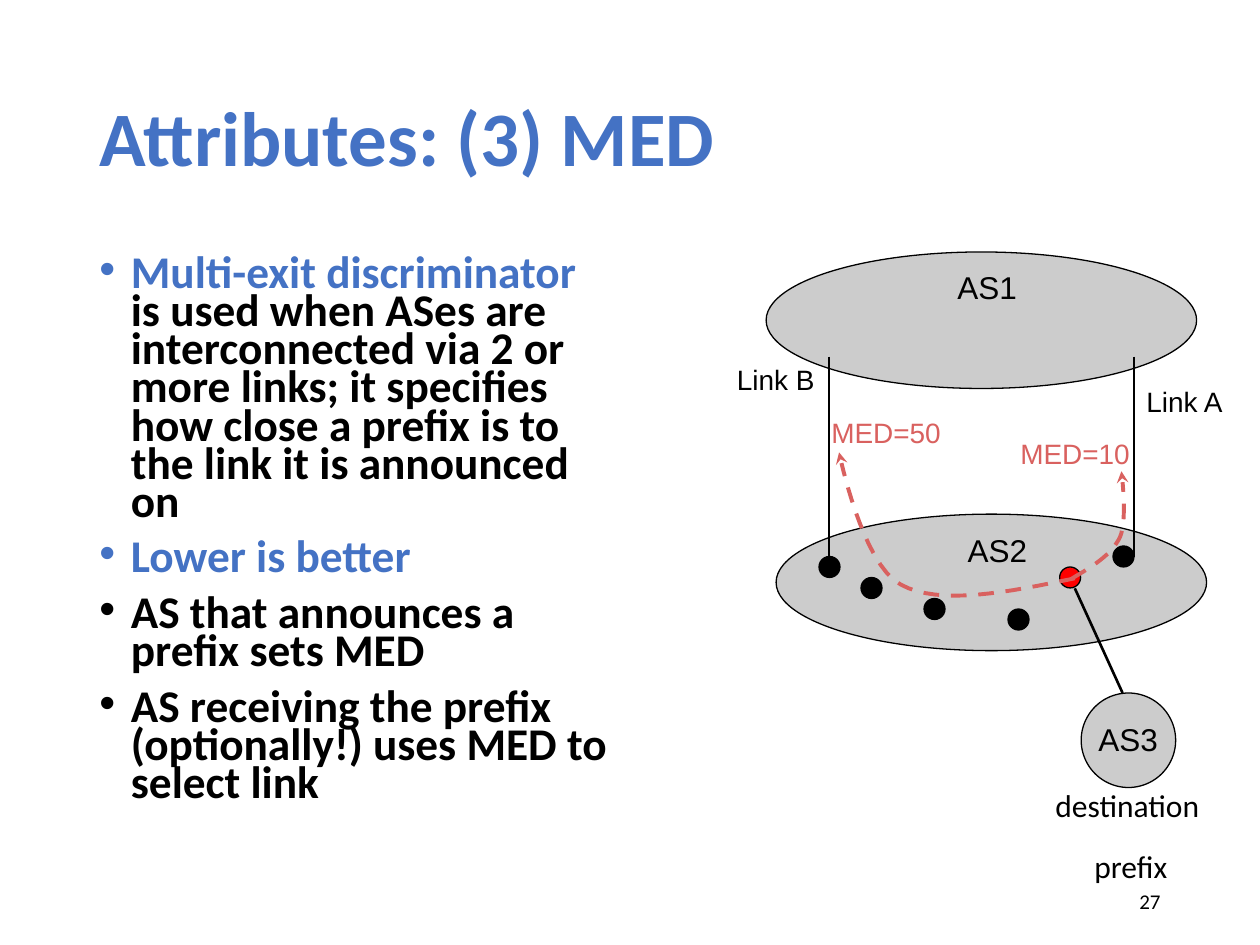
"""Build the slide on the MED attribute of routes between autonomous systems."""
from dataclasses import dataclass
from typing import NamedTuple

from lxml.etree import SubElement
from pptx import Presentation
from pptx.dml.color import RGBColor
from pptx.enum.dml import MSO_LINE
from pptx.enum.shapes import MSO_CONNECTOR, MSO_SHAPE
from pptx.enum.text import MSO_ANCHOR as ANCHOR, MSO_AUTO_SIZE as AUTO, PP_ALIGN as ALIGN
from pptx.oxml.ns import qn
from pptx.util import Pt


@dataclass(frozen=True)
class Theme:
    accent: str = "4472C4"
    ink: str = "000000"
    cloud: str = "CCCCCC"
    origin: str = "FF0000"
    route: str = "D9615F"
    heading: str = "Calibri"
    diagram: str = "Arial"
    title_size: float = 44
    body_size: float = 25.9
    name_size: float = 18
    label_size: float = 16
    number_size: float = 12
    outline: float = 0.75
    link: float = 1.5
    curve: float = 2.25


T = Theme()


class Point(NamedTuple):
    x: float
    y: float


class Box(NamedTuple):
    x: float
    y: float
    w: float
    h: float


class Run(NamedTuple):
    text: str
    color: str = T.ink


class Para(NamedTuple):
    runs: list[Run]
    fmt: dict = {}
    bullet: bool = False


class Text(NamedTuple):
    box: Box
    paras: list[Para]
    font: dict
    frame: dict


class Oval(NamedTuple):
    box: Box
    fill: str


class Link(NamedTuple):
    start: Point
    end: Point


class Bezier(NamedTuple):
    a: Point
    b: Point
    c: Point
    d: Point

    def at(self, t: float) -> Point:
        weights = ((1 - t) ** 3, 3 * t * (1 - t) ** 2, 3 * t ** 2 * (1 - t), t ** 3)
        return Point(*(sum(w * v for w, v in zip(weights, axis)) for axis in zip(*self)))


def rgb(color: str) -> RGBColor:
    return RGBColor.from_string(color)


def apply(target, values: dict) -> None:
    for name, value in values.items():
        setattr(target, name, value)


def set_line(line, color: str, width: float) -> None:
    line.color.rgb = rgb(color)
    line.width = Pt(width)


def add_bullet(p) -> None:
    pPr = p._p.get_or_add_pPr()
    pPr.set("marL", str(Pt(18)))
    pPr.set("indent", str(Pt(-18)))
    SubElement(pPr, qn("a:buFont")).set("typeface", T.diagram)
    SubElement(pPr, qn("a:buChar")).set("char", "•")


def add_text(s, text: Text) -> None:
    tf = s.shapes.add_textbox(*map(Pt, text.box)).text_frame
    apply(tf, text.frame)
    for i, para in enumerate(text.paras):
        p = tf.add_paragraph() if i else tf.paragraphs[0]
        if para.bullet:
            add_bullet(p)
        apply(p, para.fmt)
        for run in para.runs:
            r = p.add_run()
            r.text = run.text
            apply(r.font, text.font)
            r.font.color.rgb = rgb(run.color)


def add_oval(s, oval: Oval) -> None:
    sp = s.shapes.add_shape(MSO_SHAPE.OVAL, *map(Pt, oval.box))
    sp.shadow.inherit = False
    sp.fill.solid()
    sp.fill.fore_color.rgb = rgb(oval.fill)
    set_line(sp.line, T.ink, T.outline)


def add_link(s, link: Link) -> None:
    cxn = s.shapes.add_connector(MSO_CONNECTOR.STRAIGHT, *map(Pt, (*link.start, *link.end)))
    set_line(cxn.line, T.ink, T.link)
    SubElement(cxn._element.spPr, qn("a:effectLst"))


def add_route(s, curves: list[Bezier], steps: int = 16) -> None:
    points = [c.at(k / steps) for c in curves for k in range(1, steps + 1)]
    fb = s.shapes.build_freeform(*map(Pt, curves[0].a))
    fb.add_line_segments([tuple(map(Pt, pt)) for pt in points], close=False)
    sp = fb.convert_to_shape()
    sp.shadow.inherit = False
    sp.fill.background()
    set_line(sp.line, T.route, T.curve)
    sp.line.dash_style = MSO_LINE.DASH
    SubElement(sp.line._get_or_add_ln(), qn("a:tailEnd")).set("type", "stealth")


def label(text: str, x: float, y: float, w: float, h: float, size: float,
          color: str = T.ink) -> Text:
    return Text(Box(x, y, w, h), [Para([Run(text, color)])],
                {"name": T.diagram, "size": Pt(size)}, GROW)


WRAP = {"word_wrap": True, "auto_size": AUTO.NONE}
GROW = {"word_wrap": False, "auto_size": AUTO.SHAPE_TO_FIT_TEXT}
FIRST = {"line_spacing": 0.7, "space_before": Pt(0)}
NEXT = {"line_spacing": 0.7, "space_before": Pt(10)}
CENTER = {"line_spacing": 0.8, "alignment": ALIGN.CENTER}

TITLE = Text(Box(49.7, 28.8, 620.6, 104.4),
             [Para([Run("Attributes: (3) MED", T.accent)], {"line_spacing": 0.9})],
             {"name": T.heading, "size": Pt(T.title_size), "bold": True},
             WRAP | {"vertical_anchor": ANCHOR.MIDDLE})
BODY = Text(Box(49.7, 144, 306, 342.7), [
    Para([Run("Multi-exit discriminator ", T.accent),
          Run("is used when ASes are interconnected via 2 or more links; "
              "it specifies how close a prefix is to the link it is announced on")], FIRST, True),
    Para([Run("Lower is better", T.accent)], NEXT, True),
    Para([Run("AS that announces a prefix sets MED")], NEXT, True),
    Para([Run("AS receiving the prefix (optionally!) uses MED to select link")], NEXT, True),
], {"name": T.heading, "size": Pt(T.body_size), "bold": True}, WRAP)
DESTINATION = Text(Box(597.6, 450, 97.2, 38.2), [
    Para([Run("destination ")], CENTER),
    Para([Run("prefix")], CENTER | {"space_before": Pt(17.5)}),
], {"name": T.heading, "size": Pt(T.name_size)}, {"word_wrap": False, "auto_size": AUTO.NONE})
NUMBER = Text(Box(508.3, 500.4, 162, 28.8), [Para([Run("27")], {"alignment": ALIGN.RIGHT})],
              {"name": T.heading, "size": Pt(T.number_size)},
              WRAP | {"vertical_anchor": ANCHOR.MIDDLE})

SYSTEMS = [Box(437.8, 144, 246, 78), Box(443.5, 293.8, 246, 78), Box(617.8, 396, 54, 54)]
ROUTERS = [Point(468, 318), Point(492, 330), Point(528, 342), Point(576, 348), Point(636, 312)]
ORIGIN = Point(605.5, 324)
LINKS = [Link(Point(x, 203.8), Point(x, 318.2)) for x in (473.8, 648)]
LINKS.append(Link(Point(614.2, 336.2), Point(641.5, 396)))
LABELS = [
    label("Link B", 414, 203.8, 59, 26.6, T.label_size),
    label("Link A", 648, 216, 60.5, 26.6, T.label_size),
    label("MED=10", 576, 246.2, 77.8, 26.6, T.label_size, T.route),
    label("MED=50", 468, 234, 77.8, 26.6, T.label_size, T.route),
    label("AS1", 540, 149.8, 49, 28.8, T.name_size),
    label("AS2", 545.8, 300.2, 49, 28.8, T.name_size),
    label("AS3", 620.6, 408.2, 49, 28.8, T.name_size),
]
BEND_B, END_B = Point(514.8, 334.1), Point(479.5, 258.5)
BEND_A, END_A = Point(640.1, 306.7), Point(640.8, 269.3)
ROUTES = [
    [Bezier(Point(614.2, 330.5), Point(576, 338.4), Point(537.1, 346.3), BEND_B),
     Bezier(BEND_B, Point(492.5, 322.6), END_B, END_B)],
    [Bezier(Point(612.7, 330.5), Point(623.5, 324), Point(635, 317.5), BEND_A),
     Bezier(BEND_A, Point(644.4, 296.6), END_A, END_A)],
]


def main() -> None:
    prs = Presentation()
    prs.slide_width, prs.slide_height = Pt(720), Pt(540)
    s = prs.slides.add_slide(prs.slide_layouts[6])
    ovals = [Oval(box, T.cloud) for box in SYSTEMS]
    ovals += [Oval(Box(*pt, 12, 12), T.ink) for pt in ROUTERS]
    ovals.append(Oval(Box(*ORIGIN, 12, 12), T.origin))
    for draw, items in ((add_text, [TITLE, BODY]), (add_oval, ovals), (add_link, LINKS),
                        (add_text, [*LABELS, DESTINATION]), (add_route, ROUTES),
                        (add_text, [NUMBER])):
        for item in items:
            draw(s, item)
    prs.save("out.pptx")


if __name__ == "__main__":
    main()
